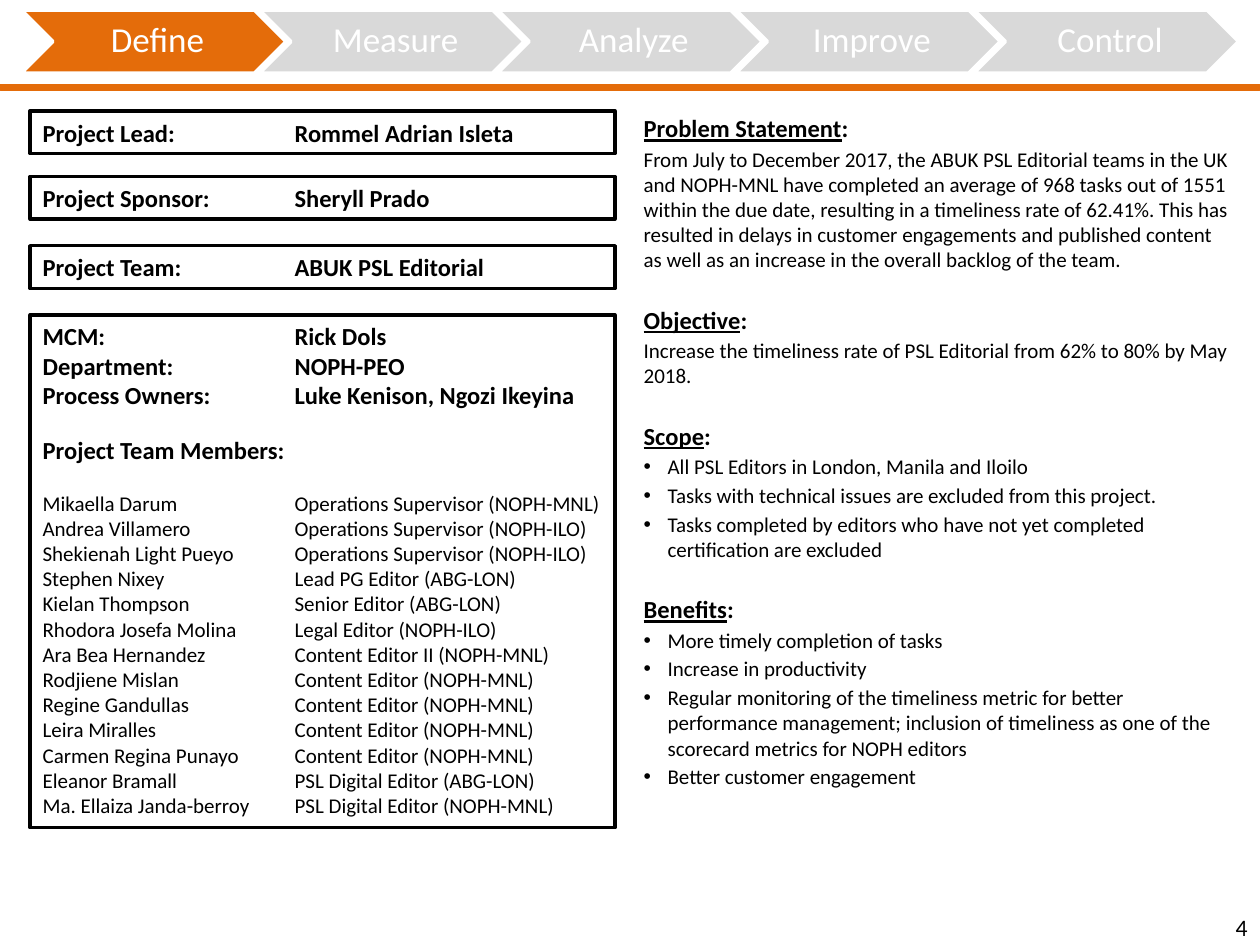
from lxml import etree
from pptx import Presentation
from pptx import util as u
from pptx.dml.color import RGBColor
from pptx.enum import shapes, text
from pptx.oxml.ns import qn

ORANGE, GREY, WHITE, BLACK = "E46C0A", "D9D9D9", "FFFFFF", "000000"
FONT = "Calibri"
HEADING, BODY = 14, 12
BLANK_LINE = 14.65  # height of one body line, in points

PHASES = ["Define", "Measure", "Analyze", "Improve", "Control"]
SUMMARY = [
    (0.88, "Project Lead:", "Rommel Adrian Isleta"),
    (1.4, "Project Sponsor:", "Sheryll Prado"),
    (1.95, "Project Team:", "ABUK PSL Editorial"),
]
OWNERS = [
    ("MCM:", "Rick Dols"),
    ("Department:", "NOPH-PEO"),
    ("Process Owners:", "Luke Kenison, Ngozi Ikeyina"),
]
MEMBERS = [
    ("Mikaella Darum", "Operations Supervisor (NOPH-MNL)"),
    ("Andrea Villamero", "Operations Supervisor (NOPH-ILO)"),
    ("Shekienah Light Pueyo", "Operations Supervisor (NOPH-ILO)"),
    ("Stephen Nixey", "Lead PG Editor (ABG-LON)"),
    ("Kielan Thompson", "Senior Editor (ABG-LON)"),
    ("Rhodora Josefa Molina", "Legal Editor (NOPH-ILO)"),
    ("Ara Bea Hernandez", "Content Editor II (NOPH-MNL)"),
    ("Rodjiene Mislan", "Content Editor (NOPH-MNL)"),
    ("Regine Gandullas", "Content Editor (NOPH-MNL)"),
    ("Leira Miralles", "Content Editor (NOPH-MNL)"),
    ("Carmen Regina Punayo", "Content Editor (NOPH-MNL)"),
    ("Eleanor Bramall", "PSL Digital Editor (ABG-LON)"),
    ("Ma. Ellaiza Janda-berroy", "PSL Digital Editor (NOPH-MNL)"),
]
# Heading, whether its lines are bulleted, lines
CHARTER = [
    ("Problem Statement", False, [
        "From July to December 2017, the ABUK PSL Editorial teams in the UK and "
        "NOPH-MNL have completed an average of 968 tasks out of 1551 within the "
        "due date, resulting in a timeliness rate of 62.41%. This has resulted in "
        "delays in customer engagements and published content as well as an "
        "increase in the overall backlog of the team."]),
    ("Objective", False, [
        "Increase the timeliness rate of PSL Editorial from 62% to 80% by May 2018."]),
    ("Scope", True, [
        "All PSL Editors in London, Manila and Iloilo",
        "Tasks with technical issues are excluded from this project.",
        "Tasks completed by editors who have not yet completed certification are excluded"]),
    ("Benefits", True, [
        "More timely completion of tasks",
        "Increase in productivity",
        "Regular monitoring of the timeliness metric for better performance "
        "management; inclusion of timeliness as one of the scorecard metrics for "
        "NOPH editors",
        "Better customer engagement"]),
]


def color(value):
    return RGBColor.from_string(value)


def add_box(parent, kind, box, fill, line=None, width=2):
    shape = parent.add_shape(kind, *map(u.Inches, box))
    shape.shadow.inherit = False
    shape.fill.solid()
    shape.fill.fore_color.rgb = color(fill)
    if line:
        shape.line.color.rgb = color(line)
        shape.line.width = u.Pt(width)
    else:
        shape.line.fill.background()
    return shape


def add_text_box(parent, box, anchor=text.MSO_ANCHOR.TOP):
    frame = parent.add_textbox(*map(u.Inches, box)).text_frame
    frame.word_wrap = True
    frame.vertical_anchor = anchor
    return frame


def add_text(frame, content, size=BODY, bold=False, underline=False, ink=BLACK,
             align=text.PP_ALIGN.LEFT, before=0, after=0, line=None, paragraph=None):
    """Write a run in the given paragraph, or in a new one with this format."""
    if paragraph is None:
        paragraph = frame.paragraphs[0]
        if paragraph.runs:
            paragraph = frame.add_paragraph()
        paragraph.alignment = align
        paragraph.space_before, paragraph.space_after = u.Pt(before), u.Pt(after)
        if line:
            paragraph.line_spacing = line
    run = paragraph.add_run()
    run.text = content
    font = run.font
    font.name, font.size, font.bold, font.underline = FONT, u.Pt(size), bold, underline
    font.color.rgb = color(ink)
    return paragraph


def add_bullet(paragraph, indent=0.19):
    properties = paragraph._p.get_or_add_pPr()
    properties.set("marL", str(u.Inches(indent)))
    properties.set("indent", str(-u.Inches(indent)))
    etree.SubElement(properties, qn("a:buFont"), typeface="Arial")
    etree.SubElement(properties, qn("a:buChar"), char="•")


def add_pair(frame, label, value, **style):
    """One line in two columns, the second at a tab stop."""
    paragraph = add_text(frame, f"{label}\t{value}", **style)
    tabs = etree.SubElement(paragraph._p.get_or_add_pPr(), qn("a:tabLst"))
    etree.SubElement(tabs, qn("a:tab"), pos=str(u.Inches(2)), algn="l")


def add_phase_bar(slide, left, top, width, height, active=0):
    group = slide.shapes.add_group_shape().shapes
    step, inset = 1.89, height / 2
    for index, phase in enumerate(PHASES):
        x = left + index * step
        add_box(group, shapes.MSO_SHAPE.CHEVRON, (x, top, width, height),
                ORANGE if index == active else GREY, WHITE)
        frame = add_text_box(group, (x + inset, top, width - 2 * inset, height),
                             text.MSO_ANCHOR.MIDDLE)
        frame.margin_left = u.Inches(0.09)
        frame.margin_right = frame.margin_top = frame.margin_bottom = u.Inches(0.03)
        add_text(frame, phase, size=20, ink=WHITE, line=0.9,
                 align=text.PP_ALIGN.CENTER)


def add_framed_panel(slide, box, anchor):
    shape = add_box(slide.shapes, shapes.MSO_SHAPE.RECTANGLE, box, WHITE, BLACK)
    frame = shape.text_frame
    frame.word_wrap = True
    frame.vertical_anchor = anchor
    return frame


def add_summary(slide, left, width, height):
    for top, label, value in SUMMARY:
        frame = add_framed_panel(slide, (left, top, width, height),
                                 text.MSO_ANCHOR.MIDDLE)
        add_pair(frame, label, value, size=HEADING, bold=True)


def add_team(slide, box):
    frame = add_framed_panel(slide, box, text.MSO_ANCHOR.TOP)
    for label, value in OWNERS:
        add_pair(frame, label, value, size=HEADING, bold=True)
    add_text(frame, "Project Team Members:", size=HEADING, bold=True, before=BLANK_LINE)
    for index, (name, role) in enumerate(MEMBERS):
        add_pair(frame, name, role, before=0 if index else BLANK_LINE)


def add_charter(slide, box):
    frame = add_text_box(slide.shapes, box)
    for index, (heading, bulleted, lines) in enumerate(CHARTER):
        paragraph = add_text(frame, heading, size=HEADING, bold=True, underline=True,
                             before=BLANK_LINE + 2 if index else 0, after=2)
        add_text(frame, ":", size=HEADING, bold=True, paragraph=paragraph)
        for content in lines:
            paragraph = add_text(frame, content, after=2)
            if bulleted:
                add_bullet(paragraph)


def main():
    presentation = Presentation()
    presentation.slide_width, presentation.slide_height = u.Inches(10), u.Inches(7.5)
    slide = presentation.slides.add_slide(presentation.slide_layouts[6])

    # Header: rule and project phases
    add_box(slide.shapes, shapes.MSO_SHAPE.RECTANGLE, (0, 0.67, 10, 0.05), ORANGE, ORANGE, 0.5)
    add_phase_bar(slide, 0.17, 0.08, 2.1, 0.5)

    # Slide number
    number = add_text_box(slide.shapes, (7.75, 7.2, 2.25, 0.3))
    add_text(number, "4", size=13.5, align=text.PP_ALIGN.RIGHT)

    # Right column, then left column
    add_charter(slide, (5.01, 0.85, 4.88, 5.9))
    add_summary(slide, 0.24, 4.64, 0.34)
    add_team(slide, (0.24, 2.5, 4.64, 4.07))

    presentation.save("out.pptx")


if __name__ == "__main__":
    main()
